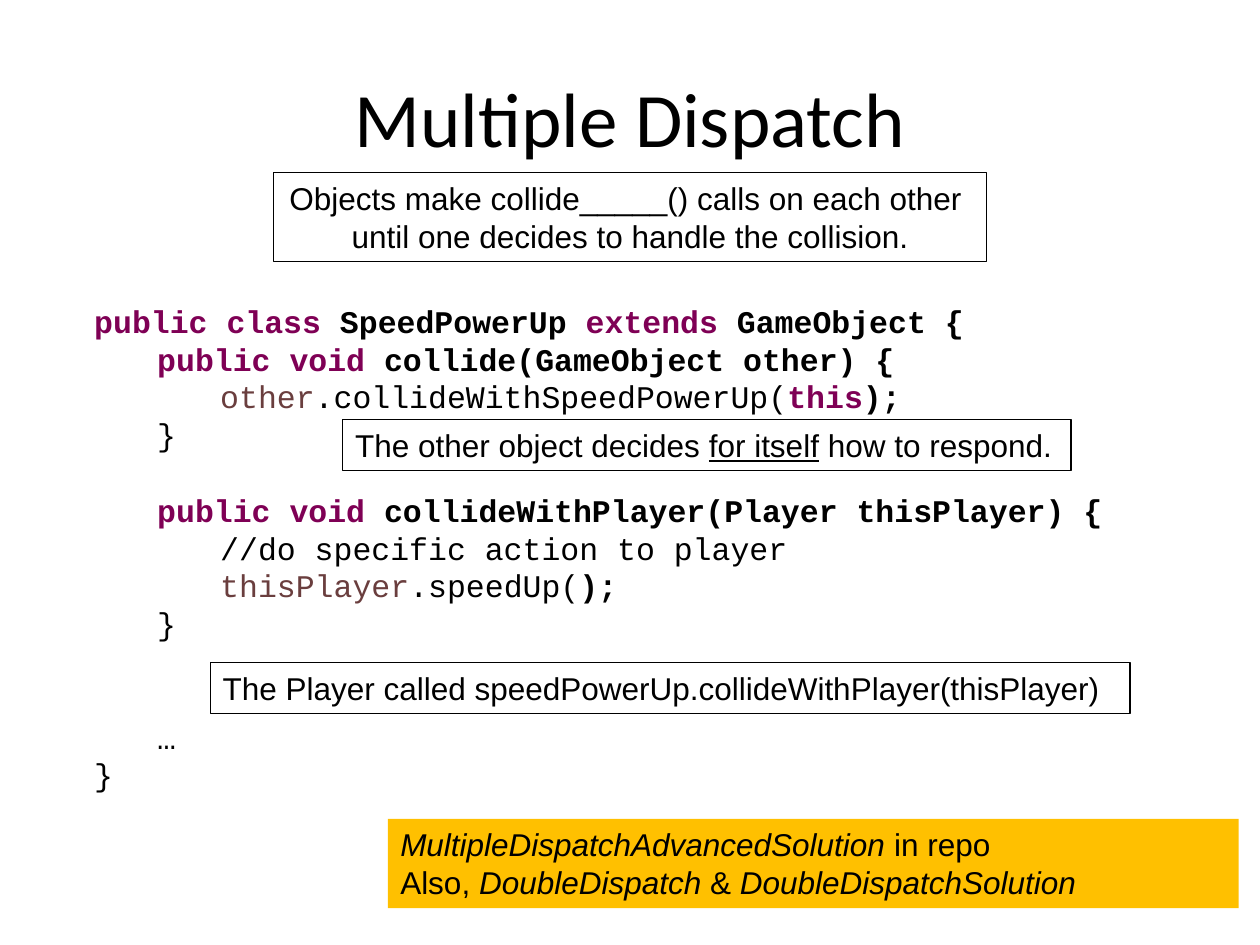
from pptx import Presentation
from pptx.dml.color import RGBColor
from pptx.enum.shapes import MSO_SHAPE as Shape
from pptx.enum.text import MSO_ANCHOR as Anchor, PP_ALIGN as Align
from pptx.util import Cm, Pt

BLACK, KEYWORD, VARIABLE, GOLD = "000000", "7F0055", "6A3E3E", "FFC000"
LINE = 21.6  # height of an 18 pt line, in points

# Run styles
BOLD = {"bold": True}
ITALIC = {"italic": True}
UNDERLINE = {"underline": True}
KEY = {"bold": True, "color": KEYWORD}
VAR = {"color": VARIABLE}

# Each code line: blank lines above it, then its runs
CODE = [
    (0, [("public class ", KEY), ("SpeedPowerUp ", BOLD),
         ("extends ", KEY), ("GameObject {", BOLD)]),
    (0, [("\tpublic void ", KEY), ("collide(GameObject other) {", BOLD)]),
    (0, [("\t\tother", VAR), (".collideWithSpeedPowerUp(", {}),
         ("this", KEY), (");", BOLD)]),
    (0, [("\t}", {})]),
    (1, [("\tpublic void ", KEY),
         ("collideWithPlayer(Player thisPlayer) {", BOLD)]),
    (0, [("\t\t//do specific action to player", {})]),
    (0, [("\t\tthisPlayer", VAR), (".speedUp(", {}), (");", BOLD)]),
    (0, [("\t}", {})]),
    (2, [("\t…", {})]),
    (0, [("}", {})]),
]


def rgb(value):
    return RGBColor.from_string(value)


def write(frame, lines, font="Arial", size=18, align=Align.LEFT,
          anchor=Anchor.TOP, spacing=LINE, gaps=None):
    """Fill a text frame; a line is a list of (text, style) runs."""
    frame.word_wrap = True
    frame.vertical_anchor = anchor
    for index, runs in enumerate(lines):
        paragraph = frame.paragraphs[0] if index == 0 else frame.add_paragraph()
        paragraph.alignment = align
        if spacing:
            paragraph.line_spacing = Pt(spacing)
        if gaps and gaps[index]:
            paragraph.space_before = Pt(gaps[index] * LINE)
        for text, style in runs:
            run = paragraph.add_run()
            run.text = text
            run.font.name = font
            run.font.size = Pt(size)
            run.font.bold = style.get("bold", False)
            run.font.italic = style.get("italic", False)
            run.font.underline = style.get("underline", False)
            run.font.color.rgb = rgb(style.get("color", BLACK))


def add_title(slide, box, text):
    title = slide.shapes.add_textbox(*map(Cm, box))
    write(title.text_frame, [[(text, {})]], font="Calibri", size=44,
          align=Align.CENTER, anchor=Anchor.MIDDLE, spacing=None)


def add_code(slide, box):
    code = slide.shapes.add_textbox(*map(Cm, box))
    gaps, lines = zip(*CODE)
    write(code.text_frame, lines, font="Courier New", gaps=gaps)


def add_note(slide, box, lines, fill=None, **text_format):
    """Add a comment box: filled if a fill is given, else outlined."""
    note = slide.shapes.add_shape(Shape.RECTANGLE, *map(Cm, box))
    note.shadow.inherit = False
    if fill:
        note.fill.solid()
        note.fill.fore_color.rgb = rgb(fill)
        note.line.fill.background()
    else:
        note.fill.background()
        note.line.color.rgb = rgb(BLACK)
        note.line.width = Pt(0.75)
    write(note.text_frame, lines, **text_format)


def main():
    deck = Presentation()
    deck.slide_width, deck.slide_height = Cm(25.4), Cm(19.05)
    slide = deck.slides.add_slide(deck.slide_layouts[6])

    add_title(slide, (1.27, 0.76, 22.86, 3.18), "Multiple Dispatch")
    add_code(slide, (1.65, 5.96, 23.7, 11.02))
    add_note(slide, (7.82, 16.51, 17.15, 1.8), [
        [("MultipleDispatchAdvancedSolution", ITALIC), (" in repo", {})],
        [("Also, ", {}), ("DoubleDispatch", ITALIC), (" & ", {}),
         ("DoubleDispatchSolution", ITALIC)],
    ], fill=GOLD)
    add_note(slide, (6.91, 8.46, 14.68, 1.02), [
        [("The other object decides ", {}), ("for itself", UNDERLINE),
         (" how to respond.", {})],
    ])
    add_note(slide, (4.24, 13.36, 18.54, 1.02), [
        [("The Player called speedPowerUp.collideWithPlayer(thisPlayer)", {})],
    ])
    add_note(slide, (5.51, 3.48, 14.38, 1.8), [
        [("Objects make collide_____() calls on each other ", {})],
        [("until one decides to handle the collision.", {})],
    ], align=Align.CENTER)

    deck.save("out.pptx")


if __name__ == "__main__":
    main()
